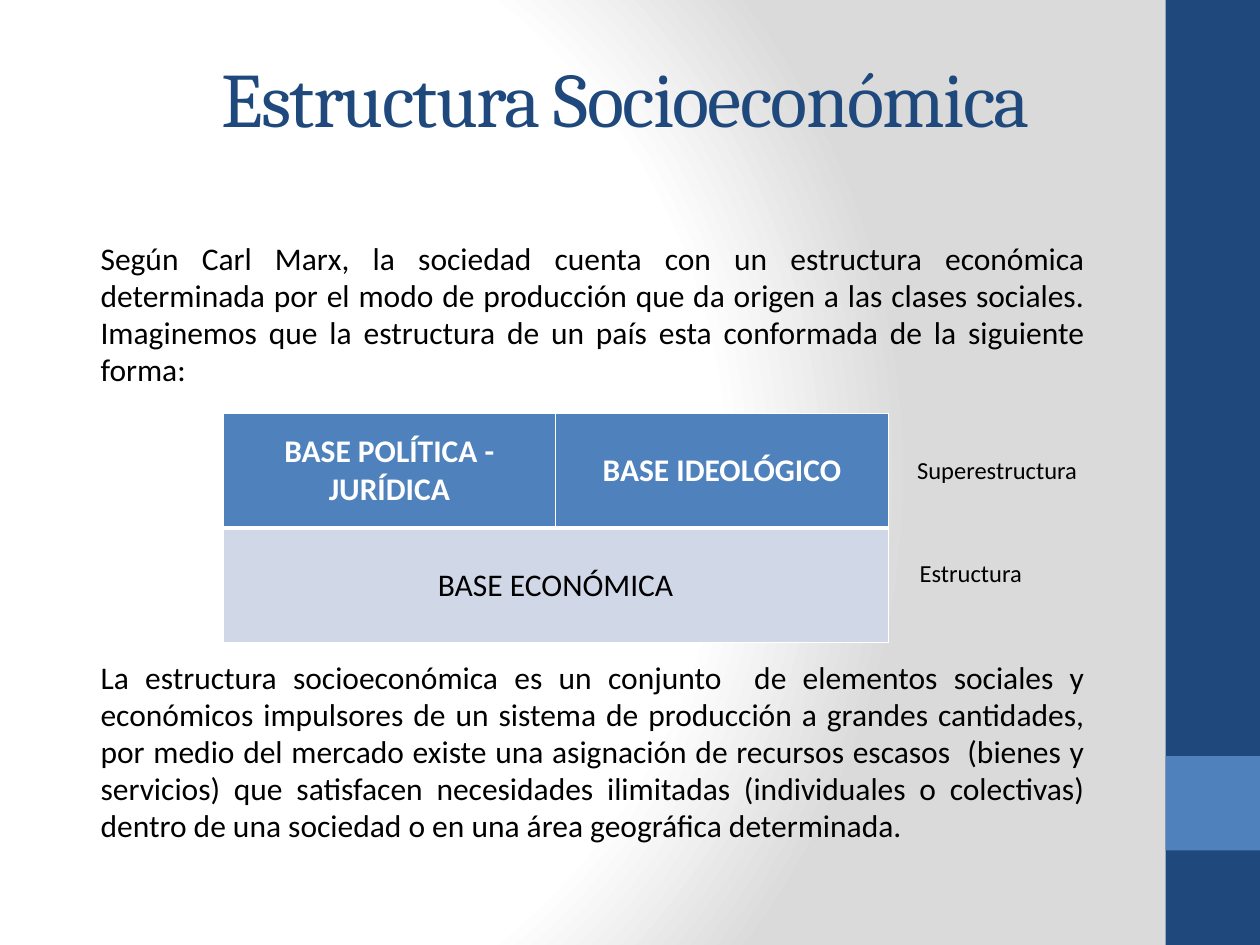
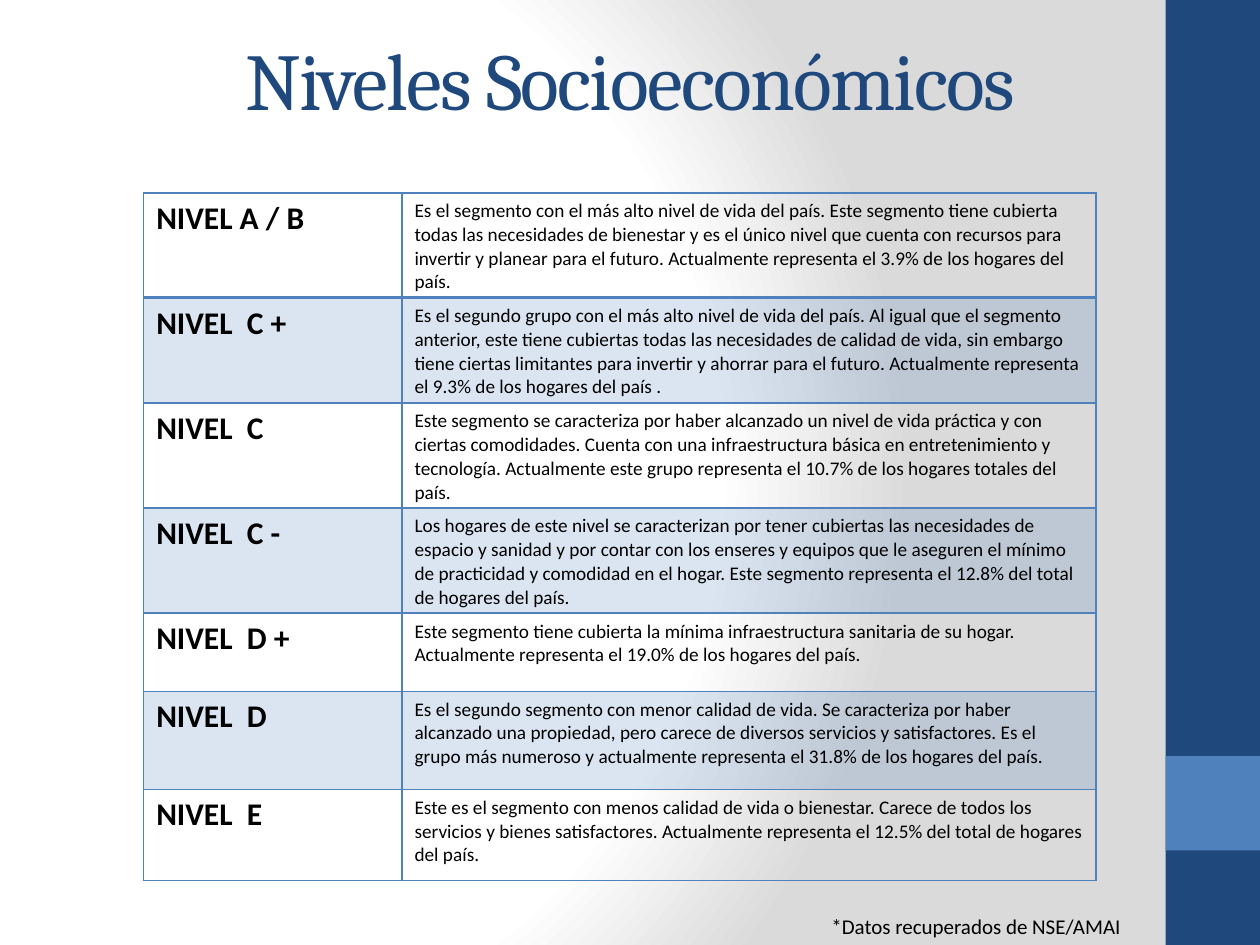
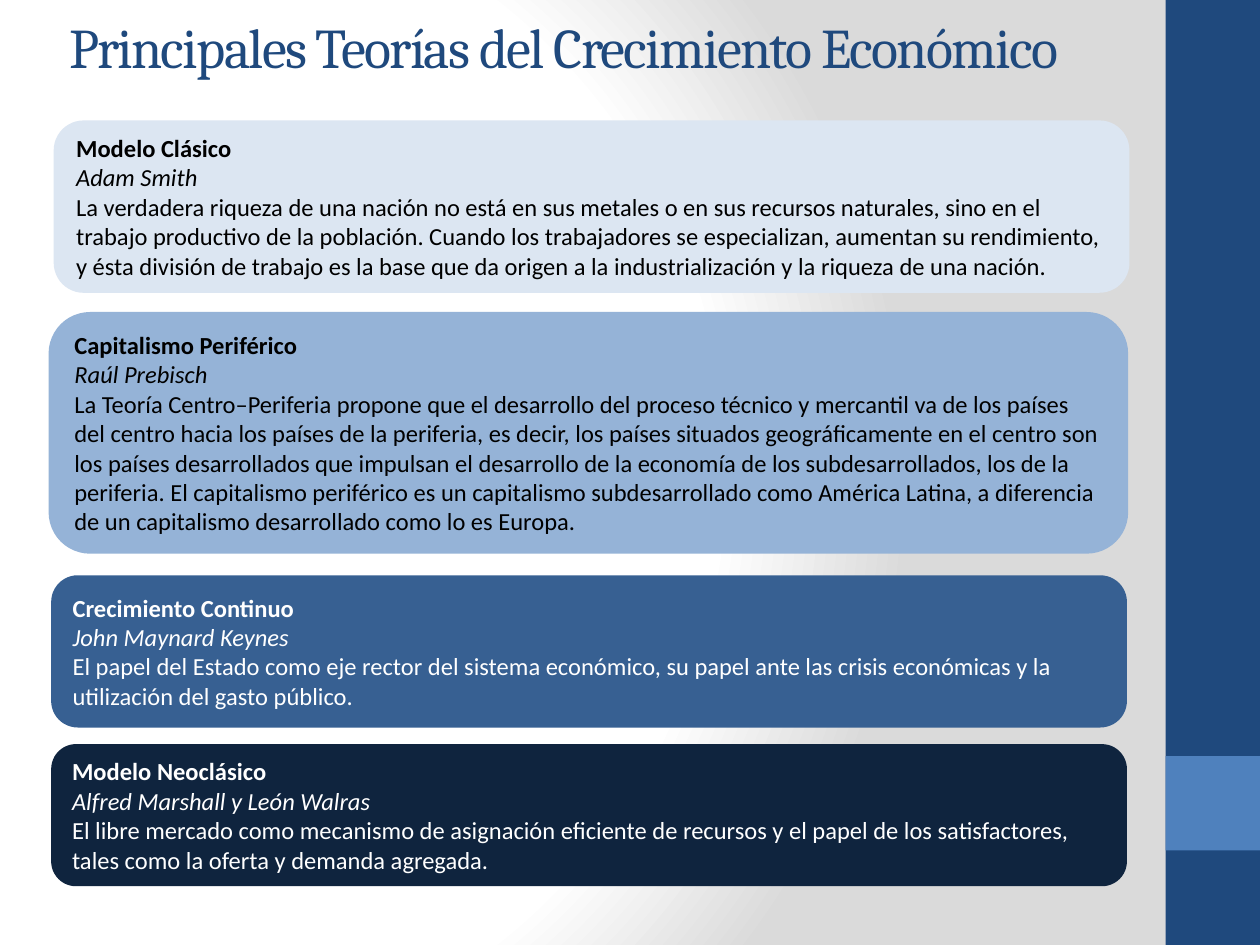
from pptx import Presentation
from pptx.dml.color import RGBColor
from pptx.enum.shapes import MSO_SHAPE
from pptx.enum.text import MSO_ANCHOR, PP_ALIGN
from pptx.oxml import parse_xml
from pptx.oxml.ns import nsdecls, qn
from pptx.util import Inches, Pt

RECTANGLE = MSO_SHAPE.RECTANGLE
ROUNDED = MSO_SHAPE.ROUNDED_RECTANGLE
TOP, MIDDLE = MSO_ANCHOR.TOP, MSO_ANCHOR.MIDDLE
LEFT, CENTER, JUSTIFY = PP_ALIGN.LEFT, PP_ALIGN.CENTER, PP_ALIGN.JUSTIFY

NAVY, BLUE, WHITE, BLACK = "1F497D", "4F81BD", "FFFFFF", "000000"
PALE_BLUE = "D0D8E8"
BACKGROUND_STOPS = [(0, WHITE), (75, WHITE), (100, "DADADA")]
BANDS = [((9.25, 0, 0.75, 7.5), NAVY), ((9.25, 6, 0.75, 0.75), BLUE)]

STRUCTURE_TITLE = ("Estructura Socioeconómica", (1.66, 0.14, 8.33, 1.25), 44)
STRUCTURE_TEXT = [
    "Según Carl Marx, la sociedad cuenta con un estructura económica determinada por el modo "
    "de producción que da origen a las clases sociales. Imaginemos que la estructura de un país "
    "esta conformada de la siguiente forma:",
    "La estructura socioeconómica es un conjunto  de elementos sociales y económicos impulsores "
    "de un sistema de producción a grandes cantidades, por medio del mercado existe una "
    "asignación de recursos escasos  (bienes y servicios) que satisfacen necesidades ilimitadas "
    "(individuales o colectivas) dentro de una sociedad o en una área geográfica determinada.",
]
SUPERSTRUCTURE = ["BASE POLÍTICA - JURÍDICA", "BASE IDEOLÓGICO"]
ECONOMIC_BASE = "BASE ECONÓMICA"
STRUCTURE_LABELS = [("Superestructura", 7.18, 3.56), ("Estructura", 7.2, 4.38)]

LEVELS_TITLE = ("Niveles Socioeconómicos", (1.85, 0, 7.64, 1.25), 46)
LEVELS = [
    ("NIVEL A / B", 0.78,
     "Es el segmento con el más alto nivel de vida del país. Este segmento tiene cubierta todas "
     "las necesidades de bienestar y es el único nivel que cuenta con recursos para invertir y "
     "planear para el futuro. Actualmente representa el 3.9% de los hogares del país."),
    ("NIVEL  C +", 0.78,
     "Es el segundo grupo con el más alto nivel de vida del país. Al igual que el segmento "
     "anterior, este tiene cubiertas todas las necesidades de calidad de vida, sin embargo tiene "
     "ciertas limitantes para invertir y ahorrar para el futuro. Actualmente representa el 9.3% "
     "de los hogares del país ."),
    ("NIVEL  C", 0.78,
     "Este segmento se caracteriza por haber alcanzado un nivel de vida práctica y con ciertas "
     "comodidades. Cuenta con una infraestructura básica en entretenimiento y tecnología. "
     "Actualmente este grupo representa el 10.7% de los hogares totales del país."),
    ("NIVEL  C -", 0.78,
     "Los hogares de este nivel se caracterizan por tener cubiertas las necesidades de espacio y "
     "sanidad y por contar con los enseres y equipos que le aseguren el mínimo de practicidad y "
     "comodidad en el hogar. Este segmento representa el 12.8% del total de hogares del país."),
    ("NIVEL  D +", 0.62,
     "Este segmento tiene cubierta la mínima infraestructura sanitaria de su hogar. Actualmente "
     "representa el 19.0% de los hogares del país."),
    ("NIVEL  D", 0.78,
     "Es el segundo segmento con menor calidad de vida. Se caracteriza por haber alcanzado una "
     "propiedad, pero carece de diversos servicios y satisfactores. Es el grupo más numeroso y "
     "actualmente representa el 31.8% de los hogares del país."),
    ("NIVEL  E", 0.72,
     "Este es el segmento con menos calidad de vida o bienestar. Carece de todos los servicios y "
     "bienes satisfactores. Actualmente representa el 12.5% del total de hogares del país."),
]
LEVELS_SOURCE = "*Datos recuperados de NSE/AMAI"

THEORIES_TITLE = ("Principales Teorías del Crecimiento Económico", (0.45, -0.02, 9, 0.77), 32)
THEORIES = [
    ((0.44, 0.97, 8.51, 1.34), "DCE6F2", BLACK, "Modelo Clásico", "Adam Smith",
     "La verdadera riqueza de una nación no está en sus metales o en sus recursos naturales, sino "
     "en el trabajo productivo de la población. Cuando los trabajadores se especializan, aumentan "
     "su rendimiento, y ésta división de trabajo es la base que da origen a la industrialización "
     "y la riqueza de una nación."),
    ((0.4, 2.49, 8.54, 1.89), "95B3D7", BLACK, "Capitalismo Periférico", "Raúl Prebisch",
     "La Teoría Centro–Periferia propone que el desarrollo del proceso técnico y mercantil va de "
     "los países del centro hacia los países de la periferia, es decir, los países situados "
     "geográficamente en el centro son los países desarrollados que impulsan el desarrollo de la "
     "economía de los subdesarrollados, los de la periferia. El capitalismo periférico es un "
     "capitalismo subdesarrollado como América Latina, a diferencia de un capitalismo "
     "desarrollado como lo es Europa."),
    ((0.42, 4.58, 8.51, 1.18), "376092", WHITE, "Crecimiento Continuo", "John Maynard Keynes",
     "El papel del Estado como eje rector del sistema económico, su papel ante las crisis "
     "económicas y la utilización del gasto público."),
    ((0.42, 5.92, 8.51, 1.1), "0F243E", WHITE, "Modelo Neoclásico",
     "Alfred Marshall y León Walras",
     "El libre mercado como mecanismo de asignación eficiente de recursos y el papel de los "
     "satisfactores, tales como la oferta y demanda agregada."),
]


def rgb(color):
    return RGBColor.from_string(color)


def inches(place):
    return [Inches(length) for length in place]


def write(frame, text, size=18, color=BLACK, font="Calibri", bold=False, italic=False,
          align=LEFT, spacing=None, line_spacing=None, before=0):
    para = frame.paragraphs[0]
    if para.runs:
        para = frame.add_paragraph()
        para.space_before = Pt(before)
    para.alignment = align
    if line_spacing:
        para.line_spacing = line_spacing
    span = para.add_run()
    span.text = text
    span.font.size = Pt(size)
    span.font.name = font
    span.font.bold = bold
    span.font.italic = italic
    span.font.color.rgb = rgb(color)
    if spacing:
        span.font._element.set("spc", str(spacing * 100))


def add_text_box(page, place, texts, anchor=TOP, **style):
    frame = page.shapes.add_textbox(*inches(place)).text_frame
    frame.word_wrap = True
    frame.vertical_anchor = anchor
    for text in texts:
        write(frame, text, **style)


def add_block(page, kind, place, color, line_width=0):
    block = page.shapes.add_shape(kind, *inches(place))
    block.shadow.inherit = False
    block.fill.solid()
    block.fill.fore_color.rgb = rgb(color)
    if line_width:
        block.line.color.rgb = rgb(color)
        block.line.width = Pt(line_width)
    else:
        block.line.fill.background()
    return block


def set_background(deck):
    stops = "".join(f'<a:gs pos="{at * 1000}"><a:srgbClr val="{color}"/></a:gs>'
                    for at, color in BACKGROUND_STOPS)
    content = deck.slide_master.element.cSld
    for old in content.findall(qn("p:bg")):
        content.remove(old)
    content.insert(0, parse_xml(
        f'<p:bg {nsdecls("p", "a")}><p:bgPr><a:gradFill rotWithShape="1"><a:gsLst>{stops}</a:gsLst>'
        '<a:path path="circle"><a:fillToRect l="20000" t="50000" r="100000" b="50000"/></a:path>'
        '</a:gradFill><a:effectLst/></p:bgPr></p:bg>'))


def add_page(deck, title, place, size):
    page = deck.slides.add_slide(deck.slide_layouts[6])
    for band, color in BANDS:
        add_block(page, RECTANGLE, band, color)
    add_text_box(page, place, [title], anchor=MIDDLE, size=size, color=NAVY,
                 font="Cambria", spacing=-1)
    return page


def add_table(page, left, top, widths, heights):
    table = page.shapes.add_table(len(heights), len(widths), *inches(
        (left, top, sum(widths), sum(heights)))).table
    table.first_row = table.horz_banding = False
    for column, width in zip(table.columns, widths):
        column.width = Inches(width)
    for row, height in zip(table.rows, heights):
        row.height = Inches(height)
    return table


def paint_cell(cell, fill, border, alpha=100, top=1, bottom=1):
    properties = cell._tc.get_or_add_tcPr()
    if fill:
        cell.fill.solid()
        cell.fill.fore_color.rgb = rgb(fill)
        if alpha < 100:
            properties.find(f".//{qn('a:srgbClr')}").append(
                parse_xml(f'<a:alpha {nsdecls("a")} val="{alpha * 1000}"/>'))
    else:
        cell.fill.background()
    sides = [("L", 1), ("R", 1), ("T", top), ("B", bottom)]
    for index, (side, width) in enumerate(sides):
        properties.insert(index, parse_xml(
            f'<a:ln{side} {nsdecls("a")} w="{Pt(width)}"><a:solidFill><a:srgbClr val="{border}"/>'
            f'</a:solidFill></a:ln{side}>'))


def build_structure(deck):
    page = add_page(deck, *STRUCTURE_TITLE)
    add_text_box(page, (0.7, 1.86, 8.01, 5.25), STRUCTURE_TEXT, align=JUSTIFY,
                 line_spacing=0.98, before=155)
    table = add_table(page, 1.77, 3.28, [2.64] * 2, [0.91] * 2)
    table.cell(1, 0).merge(table.cell(1, 1))
    for column, text in enumerate(SUPERSTRUCTURE):
        upper = table.cell(0, column)
        paint_cell(upper, BLUE, WHITE, bottom=3)
        paint_cell(table.cell(1, column), PALE_BLUE, WHITE, top=3)
        upper.vertical_anchor = MIDDLE
        write(upper.text_frame, text, color=WHITE, bold=True, align=CENTER)
    lower = table.cell(1, 0)
    lower.vertical_anchor = MIDDLE
    write(lower.text_frame, ECONOMIC_BASE, align=CENTER)
    for text, left, top in STRUCTURE_LABELS:
        add_text_box(page, (left, top, 1.89, 0.34), [text], size=14)


def build_levels(deck):
    page = add_page(deck, *LEVELS_TITLE)
    table = add_table(page, 1.14, 1.53, [2.05, 5.51], [height for _, height, _ in LEVELS])
    for row, (level, _, description) in enumerate(LEVELS):
        for column in range(2):
            paint_cell(table.cell(row, column), BLUE if row % 2 else None, BLUE, alpha=20,
                       top=2 if row == 1 else 1, bottom=2 if row == 0 else 1)
        write(table.cell(row, 0).text_frame, level, bold=True)
        write(table.cell(row, 1).text_frame, description, size=11)
    add_text_box(page, (6.5, 7.2, 2.8, 0.3), [LEVELS_SOURCE], size=12)


def build_theories(deck):
    page = add_page(deck, *THEORIES_TITLE)
    for place, fill, color, model, author, summary in THEORIES:
        frame = add_block(page, ROUNDED, place, fill, line_width=2).text_frame
        frame.word_wrap = True
        frame.vertical_anchor = MIDDLE
        write(frame, model, size=14, color=color, bold=True)
        write(frame, author, size=14, color=color, italic=True)
        write(frame, summary, size=14, color=color)


def main():
    deck = Presentation()
    deck.slide_width, deck.slide_height = Inches(10), Inches(7.5)
    set_background(deck)
    build_structure(deck)
    build_levels(deck)
    build_theories(deck)
    deck.save("out.pptx")


if __name__ == "__main__":
    main()
